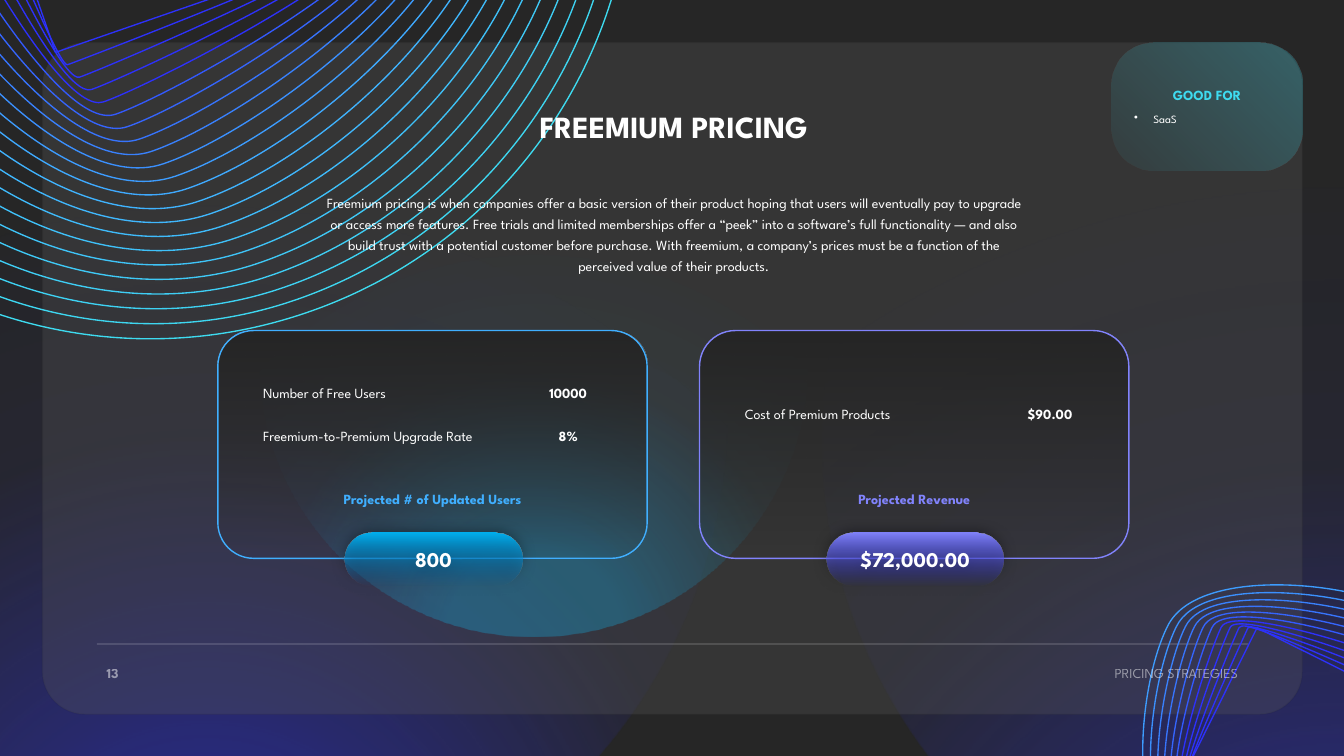
from lxml.etree import SubElement as Sub
from pptx import Presentation
from pptx.dml.color import RGBColor
from pptx.enum.shapes import MSO_CONNECTOR as Link, MSO_SHAPE as Kind
from pptx.enum.text import MSO_ANCHOR as Anchor, MSO_AUTO_SIZE as Auto, PP_ALIGN as Align
from pptx.oxml.ns import qn
from pptx.util import Cm, Pt

FONT = "League Spartan"
DARK = RGBColor(0x26, 0x26, 0x26)
GREY = RGBColor(0x59, 0x59, 0x59)
WHITE = RGBColor(0xFF, 0xFF, 0xFF)
BLACK = RGBColor(0, 0, 0)
INDIGO = RGBColor(0x2D, 0x31, 0xFA)
CYAN = RGBColor(0x00, 0xB0, 0xF0)
NAVY = RGBColor(0x00, 0x70, 0xC0)
SKY = RGBColor(0x40, 0xAF, 0xFF)
LILAC = RGBColor(0x81, 0x83, 0xFC)
AQUA = RGBColor(0x3E, 0xDB, 0xF0)
WAVES = [INDIGO] * 5 + [RGBColor.from_string(code) for code in (
    "3359FC 3565FC 3774FD 3981FD 3B90FE 3D9CFE 3FAAFF 40B3FE 40B7FD "
    "3FBBFB 3FC1F9 3FC4F8 3FC9F6 3FCEF5 3ED2F3 3ED7F1 3EDBF0").split()]

BODY = (
    "Freemium pricing is when companies offer a basic version of their product hoping "
    "that users will eventually pay to upgrade or access more features. Free trials and "
    "limited memberships offer a “peek” into a software’s full functionality — and also "
    "build trust with a potential customer before purchase. With freemium, a company’s "
    "prices must be a function of the perceived value of their products.")


def fade(node, alpha):
    for tone in node.iter(qn("a:srgbClr")):
        Sub(tone, qn("a:alpha"), val=str(alpha * 1000))


def blend(shape, stops, focus=None):
    shape.fill.background()
    props = shape.fill._xPr
    grad = props.makeelement(qn("a:gradFill"), {"rotWithShape": "1"})
    props.replace(props.find(qn("a:noFill")), grad)
    items = Sub(grad, qn("a:gsLst"))
    for pos, color, alpha in stops:
        stop = Sub(items, qn("a:gs"), pos=str(pos * 1000))
        Sub(stop, qn("a:srgbClr"), val=str(color))
        fade(stop, alpha)
    if focus:
        way = Sub(grad, qn("a:path"), {"path": "circle"})
        Sub(way, qn("a:fillToRect"), {k: str(v * 1000) for k, v in zip("ltrb", focus)})
    else:
        Sub(grad, qn("a:lin"), ang="5400000", scaled="0")


def form(slide, kind, box, round=None, line=None):
    shape = slide.shapes.add_shape(kind, *map(Cm, box))
    shape.shadow.inherit = False
    if round is not None:
        shape.adjustments[0] = round
    if line is None:
        shape.line.fill.background()
    else:
        shape.line.color.rgb = line
        shape.line.width = Pt(1)
    return shape


def write(para, text, size=10, color=WHITE, bold=False, align=Align.LEFT,
          alpha=None, lead=None, after=None, bullet=None):
    if bullet:
        props = para._p.get_or_add_pPr()
        props.set("marL", str(Cm(0.48)))
        props.set("indent", str(-Cm(0.48)))
        Sub(props, qn("a:buChar"), char=bullet)
    para.alignment = align
    if lead:
        para.line_spacing = Pt(lead)
    if after:
        para.space_after = Pt(after)
    run = para.add_run()
    run.text = text
    font = run.font
    font.name, font.size, font.bold = FONT, Pt(size), bold
    font.color.rgb = color
    if alpha is not None:
        fade(run._r, alpha)


def label(slide, box, text, wrap=False, mid=True, tight=False, **style):
    frame = slide.shapes.add_textbox(*map(Cm, box)).text_frame
    frame.word_wrap = wrap
    frame.auto_size = Auto.SHAPE_TO_FIT_TEXT
    frame.vertical_anchor = Anchor.MIDDLE if mid else Anchor.TOP
    if tight:
        frame.margin_left = frame.margin_right = 0
    write(frame.paragraphs[0], text, **style)


def glow(slide, left, top, size, color, turn=0):
    shape = form(slide, Kind.OVAL, (left, top, size, size))
    shape.rotation = turn
    blend(shape, [(23, color, 40), (68, color, 5), (100, color, 0)], (50, 130, 50, -30))


def panel(slide):
    shape = form(slide, Kind.ROUNDED_RECTANGLE, (1.07, 1.07, 31.75, 16.93), 0.064, DARK)
    shape.fill.solid()
    shape.fill.fore_color.rgb = GREY
    fade(shape.fill._xPr.find(qn("a:solidFill")), 30)
    fade(shape.line._ln, 10)


def rule(slide, left, right, top):
    line = slide.shapes.add_connector(Link.STRAIGHT, Cm(left), Cm(top), Cm(right), Cm(top))
    line.line.color.rgb = WHITE
    line.line.width = Pt(0.5)
    fade(line.line._ln, 40)
    Sub(line._element.spPr, qn("a:effectLst"))


def loop(slide, mid, knots, color):
    points = []
    for _ in range(4):
        points += knots
        knots = [(-y, x) for x, y in knots]
    points.append(points[0])
    spots = [(Cm(mid[0] + x), Cm(mid[1] + y)) for x, y in points]
    pen = slide.shapes.build_freeform(*spots[0])
    pen.add_line_segments(spots[1:], close=True)
    shape = pen.convert_to_shape()
    shape.shadow.inherit = False
    shape.fill.background()
    shape.line.color.rgb = color
    shape.line.width = Pt(0.95)
    track = next(shape._element.iter(qn("a:path")))
    legs = track.findall(qn("a:lnTo"))
    for first in range(0, len(legs), 3):
        curve = track.makeelement(qn("a:cubicBezTo"))
        legs[first].addprevious(curve)
        for leg in legs[first:first + 3]:
            curve.append(leg[0])
            track.remove(leg)


def wave(slide, mid, tip, drifts, colors):
    ends = [tip, tip, (-tip[1], tip[0])]
    for step, color in enumerate(colors):
        part = step / (len(colors) - 1)
        knots = [(x + dx * part, y + dy * part) for (x, y), (dx, dy) in zip(ends, drifts)]
        loop(slide, mid, knots, color)


def card(slide, left, color, shades, total, rows, head, width):
    top, wide = 8.33, 10.82
    frame = form(slide, Kind.ROUNDED_RECTANGLE, (left, top, wide, 5.74), 0.157, color)
    blend(frame, [(0, DARK, 100), (100, DARK, 0)])
    pill = form(slide, Kind.ROUNDED_RECTANGLE, (left + 3.2, 13.41, 4.47, 1.35), 0.5)
    blend(pill, [(0, shades[0], 100), (100, shades[1], 0)])
    effects = pill._element.spPr.find(qn("a:effectLst"))
    shade = Sub(effects, qn("a:outerShdw"), blurRad=str(Pt(10)), dist="0", dir="0")
    Sub(shade, qn("a:srgbClr"), val=str(BLACK))
    fade(shade, 50)
    text = pill.text_frame
    text.margin_left = text.margin_right = text.margin_top = text.margin_bottom = 0
    text.vertical_anchor = Anchor.MIDDLE
    write(text.paragraphs[0], total, size=15, bold=True, align=Align.CENTER)
    for y, name, span, value in rows:
        label(slide, (left + 0.89, y, span, 0.69), name)
        label(slide, (left + 7.7, y, 2.26, 0.69), value, wrap=True, tight=True,
              bold=True, align=Align.CENTER, after=6)
    label(slide, (left + (wide - width) / 2, 12.22, width, 0.69), head,
          color=color, bold=True, align=Align.CENTER)


def badge(slide):
    shape = form(slide, Kind.ROUNDED_RECTANGLE, (28.02, 1.07, 4.8, 3.23), 0.332)
    blend(shape, [(0, AQUA, 5), (100, AQUA, 28)], (0, 100, 100, 0))
    text = shape.text_frame
    text.vertical_anchor = Anchor.MIDDLE
    write(text.paragraphs[0], "GOOD FOR", color=AQUA, bold=True,
          align=Align.CENTER, lead=12, after=4)
    write(text.add_paragraph(), "SaaS", size=8, lead=12, bullet="•")


def main():
    deck = Presentation()
    deck.slide_width, deck.slide_height = Cm(33.87), Cm(19.05)
    slide = deck.slides.add_slide(deck.slide_layouts[6])
    slide.background.fill.solid()
    slide.background.fill.fore_color.rgb = DARK

    glow(slide, -7.95, -2.74, 26.29, INDIGO)
    glow(slide, 6.55, 2.26, 13.79, CYAN)
    glow(slide, 20.73, -2.03, 26.26, INDIGO, 195)
    panel(slide)
    rule(slide, 2.44, 31.45, 16.23)
    wave(slide, (32.59, 18.53), (0.91, 2.71),
         [(2.26, 0.03), (1.55, 1.52), (1.45, 3)], WAVES[:11])
    wave(slide, (3.8, -3.62), (-4.94, -2.4),
         [(-6.55, 6.35), (-8.74, 0), (-12.7, -4.37)], WAVES)

    label(slide, (2.44, 16.61, 0.89, 0.69), "13", bold=True, alpha=50)
    label(slide, (27.46, 16.61, 3.99, 0.69), "PRICING STRATEGIES",
          align=Align.RIGHT, alpha=50)
    label(slide, (10.39, 2.59, 13.18, 1.19), "FREEMIUM PRICING", wrap=True, mid=False,
          size=22, bold=True, align=Align.CENTER)
    label(slide, (7.95, 4.67, 18.06, 2.34), BODY, wrap=True, mid=False,
          align=Align.CENTER, lead=15)
    card(slide, 5.49, SKY, (CYAN, NAVY), "800",
         [(9.55, "Number of Free Users", 4.14, "10000"),
          (10.64, "Freemium-to-Premium Upgrade Rate", 6.86, "8%")],
         "Projected # of Updated Users", 5.59)
    card(slide, 17.63, LILAC, (LILAC, INDIGO), "$72,000.00",
         [(10.08, "Cost of Premium Products", 4.93, "$90.00")],
         "Projected Revenue", 3.78)
    badge(slide)
    deck.save("out.pptx")


if __name__ == "__main__":
    main()
